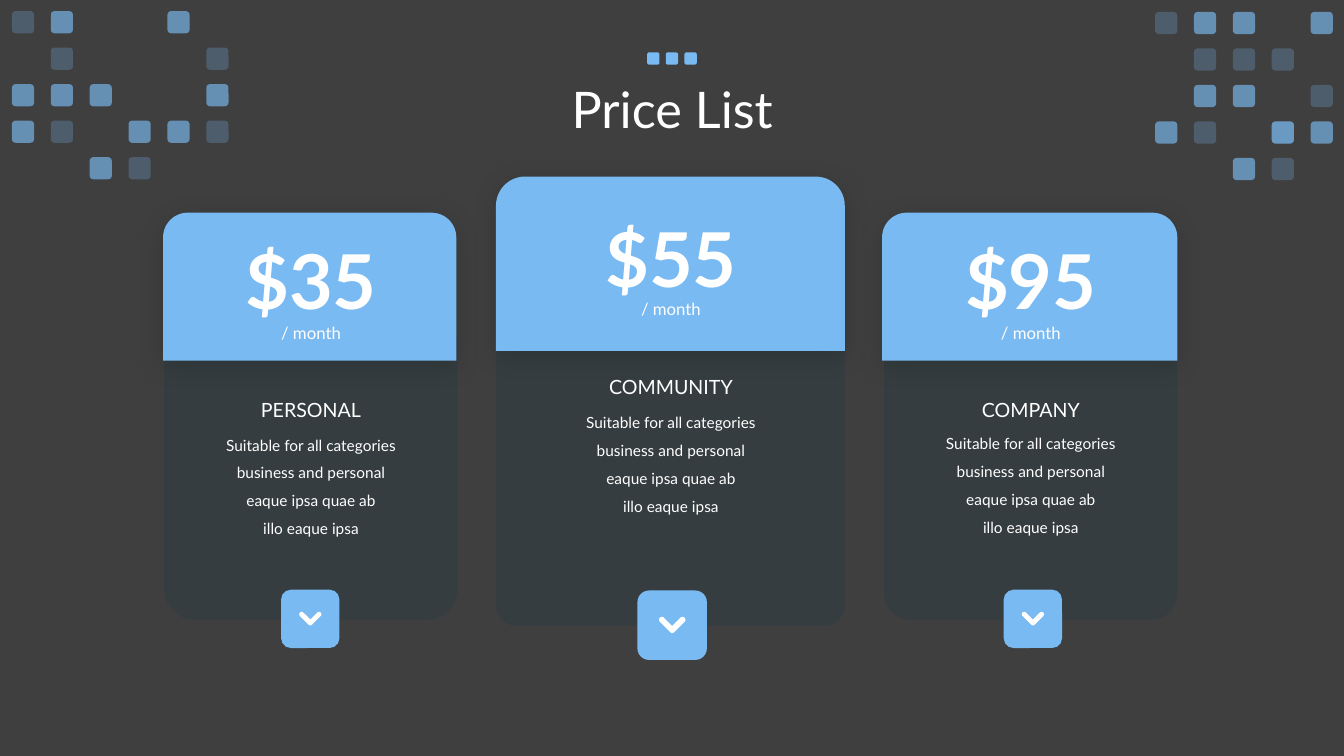
"""Build a price list slide with three plan cards."""
import math
from dataclasses import dataclass

from lxml import etree
from pptx import Presentation
from pptx.dml.color import RGBColor
from pptx.enum import shapes, text
from pptx.oxml.ns import qn
from pptx.util import Cm, Pt


@dataclass(frozen=True)
class Theme:
    font: str = "Lato"
    back: str = "3F3F3F"
    card: str = "313C41"
    accent: str = "7ABAF2"
    light: str = "FFFFFF"
    shadow: str = "000000"
    title: int = 36
    price: int = 54
    plan: int = 14
    month: int = 12
    body: int = 11


theme = Theme()
AUTO = shapes.MSO_SHAPE


def paint(s, color, alpha=100):
    s.shadow.inherit = False
    s.fill.solid()
    s.fill.fore_color.rgb = RGBColor.from_string(color)
    s.line.fill.background()
    if alpha < 100:
        clr = s._element.spPr.find(qn("a:solidFill"))[0]
        etree.SubElement(clr, qn("a:alpha"), val=str(alpha * 1000))
    return s


def label(lines, center, top, width, height, size, spacing=1.0, bold=False):
    tb = slide.shapes.add_textbox(Cm(center - width / 2), Cm(top), Cm(width), Cm(height))
    tf = tb.text_frame
    tf.word_wrap = True
    tf.text = "\n".join(lines)
    for p in tf.paragraphs:
        p.alignment = text.PP_ALIGN.CENTER
        p.line_spacing = spacing
        for r in p.runs:
            r.font.name = theme.font
            r.font.size = Pt(size)
            r.font.bold = bold
            r.font.color.rgb = RGBColor.from_string(theme.light)
    return tf


prs = Presentation()
prs.slide_width, prs.slide_height = Cm(33.87), Cm(19.05)
slide = prs.slides.add_slide(prs.slide_layouts[6])
slide.background.fill.solid()
slide.background.fill.fore_color.rgb = RGBColor.from_string(theme.back)

tf = label(["Price List"], 16.94, 0.99, 29.21, 3.68, theme.title, 0.9)
tf.vertical_anchor = text.MSO_ANCHOR.MIDDLE

description = ["Suitable for all categories business and personal",
               "eaque ipsa quae ab", "illo eaque ipsa"]
cards = [
    dict(plan="PERSONAL", price="$35", body=(4.14, 7.82, 7.39, 7.8), corner=0.107,
         head=(4.11, 5.36, 7.39, 3.73), center=7.84, tops=(5.77, 7.75, 9.91, 10.62),
         button=(7.82, 14.86, 1.47)),
    dict(plan="COMMUNITY", price="$55", body=(12.5, 6.55, 8.79, 9.22), corner=0.059,
         head=(12.5, 4.45, 8.79, 4.39), center=16.91, tops=(5.21, 7.16, 9.32, 10.06),
         button=(16.94, 14.88, 1.75)),
    dict(plan="COMPANY", price="$95", body=(22.28, 7.82, 7.39, 7.8), corner=0.091,
         head=(22.23, 5.36, 7.44, 3.73), center=25.98, tops=(5.77, 7.75, 9.91, 10.59),
         button=(26.03, 14.86, 1.47)),
]

for card in cards:
    s = slide.shapes.add_shape(AUTO.ROUNDED_RECTANGLE, *map(Cm, card["body"]))
    s.adjustments[0] = card["corner"]
    paint(s, theme.card, 65)

    s = slide.shapes.add_shape(AUTO.ROUND_2_SAME_RECTANGLE, *map(Cm, card["head"]))
    paint(s, theme.accent)
    effects = s._element.spPr.find(qn("a:effectLst"))
    outer = etree.SubElement(effects, qn("a:outerShdw"), blurRad=str(Pt(19)),
                             dist=str(Pt(4)), dir="5400000", algn="t", rotWithShape="0")
    clr = etree.SubElement(outer, qn("a:srgbClr"), val=theme.shadow)
    etree.SubElement(clr, qn("a:alpha"), val="15000")

    center = card["center"]
    price_top, month_top, plan_top, text_top = card["tops"]
    label([card["price"]], center, price_top, 4.1, 2.57, theme.price, bold=True)
    label(["/ month"], center, month_top, 2.8, 0.91, theme.month, 1.5)
    label(description, center, text_top, 5.36, 3, theme.body, 1.5)
    label([card["plan"]], center, plan_top, 4.88, 0.86, theme.plan)

    middle, top, size = card["button"]
    s = slide.shapes.add_shape(AUTO.ROUNDED_RECTANGLE, Cm(middle - size / 2), Cm(top),
                               Cm(size), Cm(size))
    paint(s, theme.accent)

    half = 0.19 * size
    radius = 0.22 * half
    chevron_top = top + 0.38 * size
    points = []
    for dx, dy, start, end in ((radius - half, radius, 135, 315),
                               (0, half - radius * math.sqrt(2), 0, 0),
                               (half - radius, radius, 225, 405),
                               (0, half, 45, 135)):
        reach = radius if end > start else 0
        for angle in range(start, end + 1, 15):
            a = math.radians(angle)
            points.append((Cm(middle + dx + reach * math.cos(a)),
                           Cm(chevron_top + dy + reach * math.sin(a))))
    builder = slide.shapes.build_freeform(*points[0])
    builder.add_line_segments(points[1:], close=True)
    paint(builder.convert_to_shape(), theme.light)

opacities = {".": (), "d": (25,), "b": (65,), "x": (65, 25)}
mosaics = [
    (0.3, 0.28, ["db..b.", ".d...d", "bbb..b", "bd.bbd", "..bd.."]),
    (29.11, 0.3, ["dbb.b", ".ddd.", ".bb.d", "bd.xb", "..bd."]),
]
for left, top, rows in mosaics:
    group = slide.shapes.add_group_shape()
    for i, row in enumerate(rows):
        for j, mark in enumerate(row):
            for alpha in opacities[mark]:
                s = group.shapes.add_shape(AUTO.ROUNDED_RECTANGLE, Cm(left + 0.98 * j),
                                           Cm(top + 0.92 * i), Cm(0.56), Cm(0.56))
                paint(s, theme.accent, alpha)

dots = slide.shapes.add_group_shape()
for i in range(3):
    s = dots.shapes.add_shape(AUTO.ROUNDED_RECTANGLE, Cm(16.31 + 0.47 * i), Cm(1.32),
                              Cm(0.31), Cm(0.31))
    paint(s, theme.accent)

prs.save("out.pptx")
